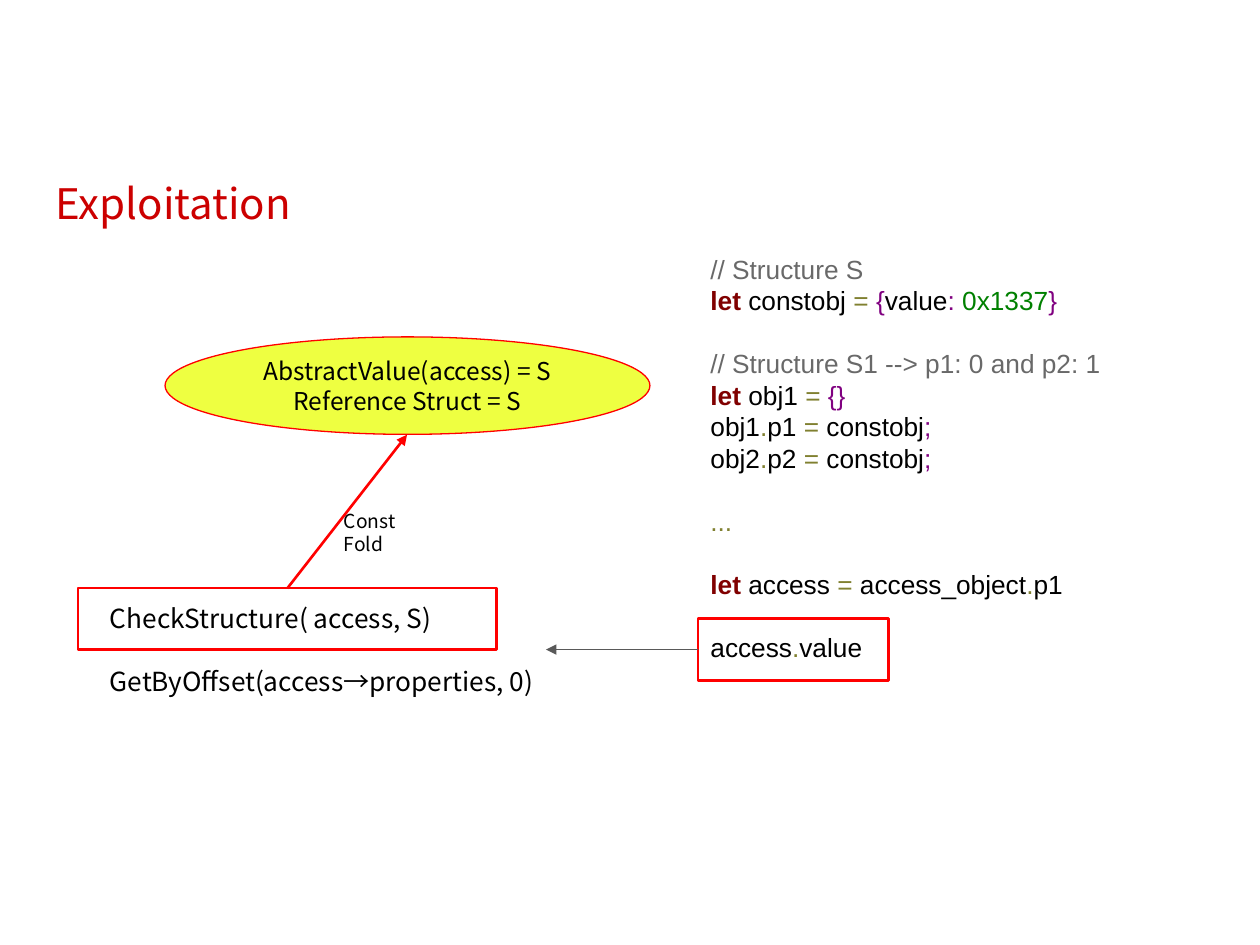
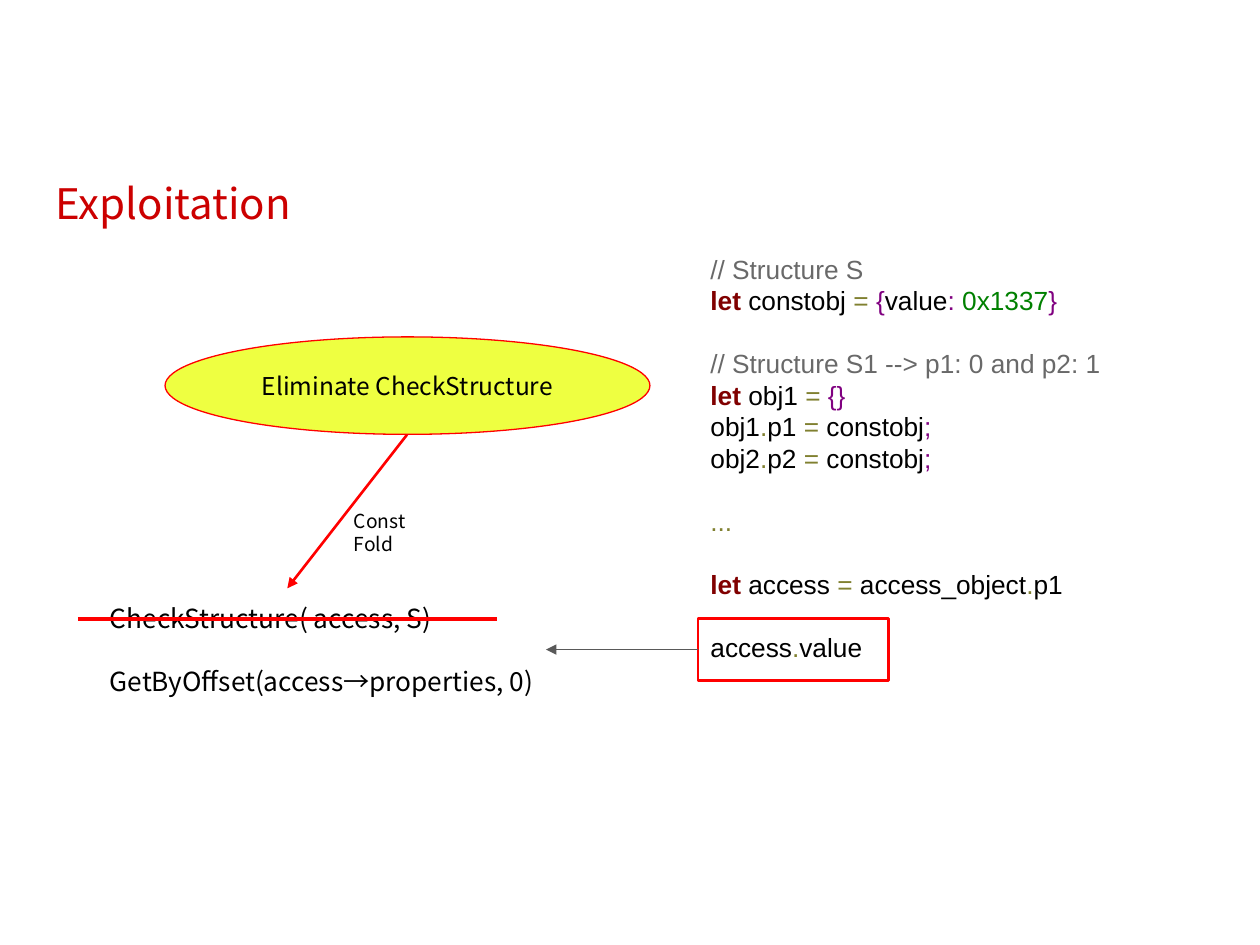
import pptx
import pptx.util
import pptx.dml.color
import pptx.enum.shapes
import pptx.enum.text
import pptx.oxml
import pptx.oxml.ns

Pt = pptx.util.Pt
Shapes = pptx.enum.shapes.MSO_SHAPE
Anchor = pptx.enum.text.MSO_ANCHOR
Align = pptx.enum.text.PP_ALIGN

COLOURS = {
    "title": "CC0000", "mark": "FF0000", "bubble": "EEFF41", "arrow": "595959",
    "text": "000000", "comment": "696969", "keyword": "800000",
    "operator": "808030", "bracket": "800080", "number": "008000",
}
SANS = "Noto Sans CJK KR"
CODE_FONT = "Arial"
INSET = 7.2
LEADING = 1.2

# Code listing: stanzas of lines, with tokens parted by bars
STANZAS = [
    ["// Structure S", "let| constobj |=| |{|value|:| |0x1337|}"],
    ["// Structure S1 --> p1: 0 and p2: 1", "let| obj1 |=| |{}",
     "obj1|.|p1 |=| constobj|;", "obj2|.|p2 |=| constobj|;"],
    ["..."],
    ["let| access |=| access_object|.|p1"],
    ["access|.|value"],
]
SYNTAX = {
    "let": "keyword", "=": "operator", ".": "operator", "...": "operator",
    "{": "bracket", "}": "bracket", "{}": "bracket", ":": "bracket",
    ";": "bracket", "0x1337": "number",
}

# Points where the arrows meet the shapes
BUBBLE_FOOT = (232.6, 248.4)
CHECK_TOP = (164.2, 336.2)


def rgb(name):
    return pptx.dml.color.RGBColor.from_string(COLOURS[name])


def style(para, size, font=SANS, colour="text"):
    para.font.size = Pt(size)
    para.font.name = font
    para.font.color.rgb = rgb(colour)


def prepare_frame(shape, anchor=Anchor.TOP):
    frame = shape.text_frame
    frame.word_wrap = True
    frame.auto_size = pptx.enum.text.MSO_AUTO_SIZE.NONE
    frame.vertical_anchor = anchor
    frame.margin_left = frame.margin_right = Pt(INSET)
    frame.margin_top = frame.margin_bottom = Pt(INSET)
    return frame


def add_lines(frame, lines, size, align=Align.LEFT, gap=0):
    for index, line in enumerate(lines):
        para = frame.paragraphs[0] if index == 0 else frame.add_paragraph()
        para.text = line
        para.alignment = align
        para.line_spacing = Pt(size * LEADING)
        if index and gap:
            para.space_before = Pt(gap)
        style(para, size)


def add_title(page, text):
    title = page.shapes.title
    title.left, title.top, title.width, title.height = map(Pt, (24.5, 58.3, 221, 79.2))
    frame = prepare_frame(title, Anchor.BOTTOM)
    frame.text = text
    para = frame.paragraphs[0]
    para.alignment = Align.LEFT
    style(para, 24, colour="title")


def add_text(page, place, lines, size, gap=0):
    box = page.shapes.add_textbox(*map(Pt, place))
    add_lines(prepare_frame(box), lines, size, gap=gap)


def add_code(page):
    size = 15
    leading = Pt(size * LEADING)
    box = page.shapes.add_textbox(*map(Pt, (398.9, 137.5, 260, 287.3)))
    frame = prepare_frame(box)
    para = frame.paragraphs[0]
    for number, stanza in enumerate(STANZAS):
        for row, line in enumerate(stanza):
            if number or row:
                para = frame.add_paragraph()
            para.line_spacing = leading
            if number and row == 0:
                para.space_before = leading
            style(para, size, CODE_FONT)
            for token in line.split("|"):
                span = para.add_run()
                span.text = token
                kind = "comment" if token.startswith("//") else SYNTAX.get(token, "text")
                span.font.color.rgb = rgb(kind)
                if kind == "keyword":
                    span.font.bold = True


def add_outline(page, kind, place, weight, fill=None):
    shape = page.shapes.add_shape(kind, *map(Pt, place))
    shape.shadow.inherit = False
    if fill:
        shape.fill.solid()
        shape.fill.fore_color.rgb = rgb(fill)
    else:
        shape.fill.background()
    shape.line.color.rgb = rgb("mark")
    shape.line.width = Pt(weight)
    return shape


def add_bubble(page, lines):
    bubble = add_outline(page, Shapes.OVAL, (94.3, 192.5, 277.1, 55.7), 0.75, "bubble")
    add_lines(prepare_frame(bubble, Anchor.MIDDLE), lines, 14, Align.CENTER)


def add_line(page, start, end, colour, weight, arrow=True):
    line = page.shapes.add_connector(
        pptx.enum.shapes.MSO_CONNECTOR.STRAIGHT, *map(Pt, start + end))
    line.line.color.rgb = rgb(colour)
    line.line.width = Pt(weight)
    if arrow:
        head = pptx.oxml.parse_xml(
            f'<a:tailEnd {pptx.oxml.ns.nsdecls("a")} type="triangle"/>')
        line.line._get_or_add_ln().append(head)
    line._element.spPr.append(
        pptx.oxml.parse_xml(f'<a:effectLst {pptx.oxml.ns.nsdecls("a")}/>'))


def add_exploitation_page(deck, bubble_lines, fold_start, fold_end, label_left):
    page = deck.slides.add_slide(deck.slide_layouts[5])
    add_title(page, "Exploitation")
    add_code(page)
    add_bubble(page, bubble_lines)
    add_line(page, fold_start, fold_end, "mark", 1.5)
    add_outline(page, Shapes.RECTANGLE, (398.9, 353.5, 108.9, 35.4), 1.5)
    add_text(page, (55.7, 337, 256.3, 69),
             ["CheckStructure( access, S)", "GetByOffset(access→properties, 0)"],
             15, gap=15 * LEADING)
    add_line(page, (398.9, 371.2), (312, 371.2), "arrow", 0.75)
    add_text(page, (label_left, 283.7, 66, 28), ["Const Fold"], 11)
    return page


def main():
    deck = pptx.Presentation()
    deck.slide_width, deck.slide_height = Pt(720), Pt(540)

    # The check is folded into the abstract value
    page = add_exploitation_page(
        deck, ["AbstractValue(access) = S", "Reference Struct = S"],
        CHECK_TOP, BUBBLE_FOOT, 189.4)
    add_outline(page, Shapes.RECTANGLE, (44.5, 336, 239.3, 35.2), 1.5)

    # The check is struck out
    page = add_exploitation_page(
        deck, ["Eliminate CheckStructure"], BUBBLE_FOOT, CHECK_TOP, 195.2)
    add_line(page, (44.5, 353.6), (283.8, 353.6), "mark", 2.25, arrow=False)

    deck.save("out.pptx")


if __name__ == "__main__":
    main()
